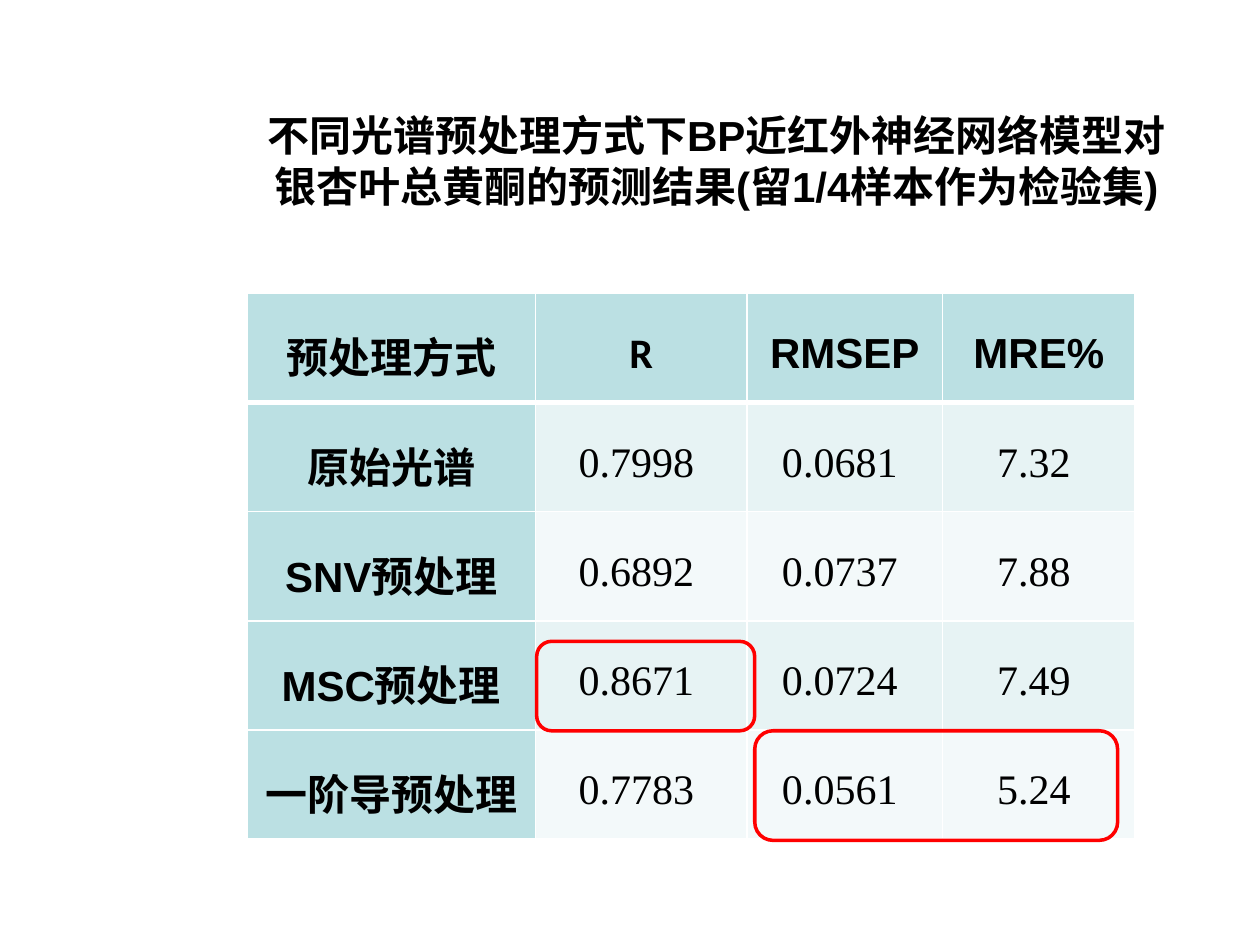
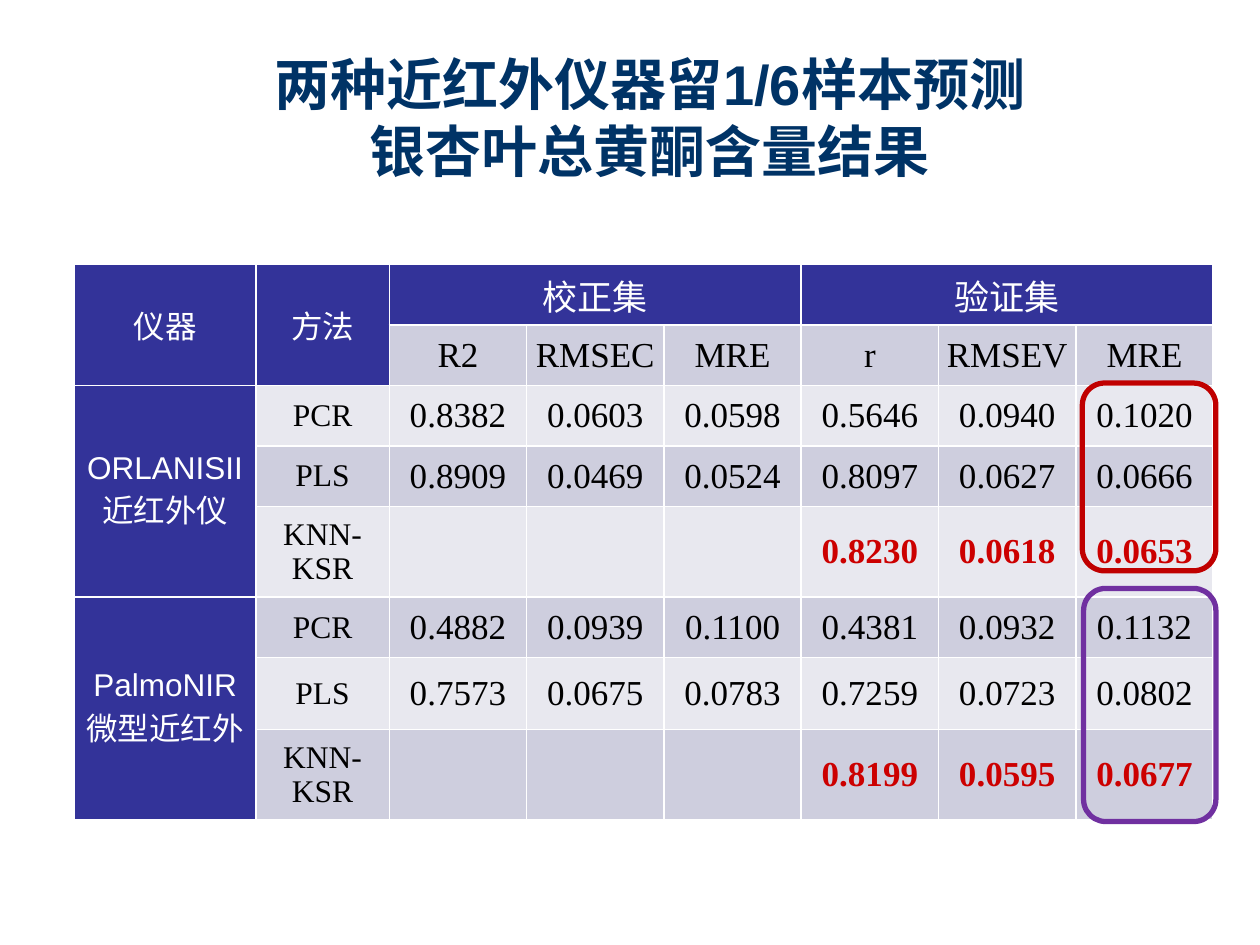
from lxml import etree
from pptx import Presentation
from pptx.dml.color import RGBColor
from pptx.enum.shapes import MSO_SHAPE as SHAPE
from pptx.enum.text import MSO_ANCHOR as ANCHOR, MSO_AUTO_SIZE as AUTO, PP_ALIGN as ALIGN
from pptx.oxml.ns import qn
from pptx.util import Inches, Pt

SANS, SERIF, HEAD_SANS = "Arial", "Times New Roman", "Calibri"
BLACK, WHITE, NAVY, RED = "000000", "FFFFFF", "003366", "CC0000"
TEAL, TEAL_BANDS = "BBE0E3", ("F3F9FA", "E7F3F4")
INDIGO, INDIGO_BANDS = "333399", ("E8E8EF", "CECEDE")


def rgb(value):
    return RGBColor.from_string(value)


class Deck:
    def __init__(self):
        self.prs = Presentation()
        self.prs.slide_width, self.prs.slide_height = Inches(10), Inches(7.5)
        self.slide = None

    def add_slide(self):
        self.slide = self.prs.slides.add_slide(self.prs.slide_layouts[5])

    def add_text(self, tf, text, size, font=SANS, color=BLACK, bold=False, spacing=1.0):
        for i, line in enumerate(text.split("\n")):
            p = tf.add_paragraph() if i else tf.paragraphs[0]
            p.alignment, p.line_spacing = ALIGN.CENTER, spacing
            r = p.add_run()
            r.text = line
            r.font.size, r.font.name, r.font.bold = Pt(size), font, bold
            r.font.color.rgb = rgb(color)

    def title(self, text, box, size, color, anchor):
        sp = self.slide.shapes.title
        sp.left, sp.top, sp.width, sp.height = map(Inches, box)
        tf = sp.text_frame
        tf.word_wrap, tf.auto_size, tf.vertical_anchor = True, AUTO.NONE, anchor
        self.add_text(tf, text, size, color=color, bold=True)

    def border(self, cell, **widths):
        tc_pr = cell._tc.get_or_add_tcPr()
        for side in "LRTB":
            ln = etree.SubElement(tc_pr, qn(f"a:ln{side}"), w=str(Pt(widths.get(side, 1))))
            fill = etree.SubElement(ln, qn("a:solidFill"))
            etree.SubElement(fill, qn("a:srgbClr"), val=WHITE)

    def table(self, rows, left, top, widths, heights, style, header_rule=1, merges=()):
        shape = self.slide.shapes.add_table(
            len(rows), len(widths), Inches(left), Inches(top),
            Inches(sum(widths)), Inches(sum(heights)))
        table = shape.table
        for column, width in zip(table.columns, widths):
            column.width = Inches(width)
        for i, (row, height) in enumerate(zip(rows, heights)):
            table.rows[i].height = Inches(height)
            for j, text in enumerate(row):
                cell = table.cell(i, j)
                fill, right_inset, font = style(i, j)
                cell.margin_left = cell.margin_top = cell.margin_bottom = Inches(0.01)
                cell.margin_right = Inches(right_inset)
                cell.vertical_anchor = ANCHOR.MIDDLE
                rule = {0: {"B": header_rule}, 1: {"T": header_rule}}.get(i, {})
                self.border(cell, **rule)
                cell.fill.solid()
                cell.fill.fore_color.rgb = rgb(fill)
                if text:
                    self.add_text(cell.text_frame, text, **font)
        for first_row, first_col, last_row, last_col in merges:
            table.cell(first_row, first_col).merge(table.cell(last_row, last_col))

    def highlight(self, box, color, width):
        sp = self.slide.shapes.add_shape(SHAPE.ROUNDED_RECTANGLE, *map(Inches, box))
        sp.shadow.inherit = False
        sp.fill.background()
        sp.line.color.rgb, sp.line.width = rgb(color), Pt(width)


def preprocessing_style(i, j):
    font = {"size": 24, "spacing": 1.25}
    if i == 0 or j == 0:
        font.update(font=HEAD_SANS if (i, j) == (0, 1) else SANS, bold=True)
        return TEAL, 0.01, font
    return TEAL_BANDS[i % 2], 0.09, {**font, "font": SERIF}


def instrument_style(i, j):
    if j == 0 or (j == 1 and i < 2):
        return INDIGO, 0.01, {"size": 18, "color": WHITE}
    if i == 0:
        return INDIGO, 0.01, {"size": 20, "font": SERIF, "color": WHITE}
    best = i in (4, 7) and j > 1
    font = {"size": 18 if j == 1 else 20, "font": SERIF,
            "color": RED if best else BLACK, "bold": best}
    return INDIGO_BANDS[i % 2], 0.01, font


def preprocessing_slide(deck):
    deck.add_slide()
    deck.title("不同光谱预处理方式下BP近红外神经网络模型对银杏叶总黄酮的预测结果(留1/4样本作为检验集)",
               (1.96, 0.82, 7.45, 0.91), 24, BLACK, ANCHOR.TOP)
    rows = [
        ["预处理方式", "R", "RMSEP", "MRE%"],
        ["原始光谱", "0.7998", "0.0681", "7.32"],
        ["SNV预处理", "0.6892", "0.0737", "7.88"],
        ["MSC预处理", "0.8671", "0.0724", "7.49"],
        ["一阶导预处理", "0.7783", "0.0561", "5.24"],
    ]
    deck.table(rows, 1.96, 2.33, [2.29, 1.68, 1.55, 1.53], [4.33 / 5] * 5,
               preprocessing_style, header_rule=3)
    for box in ((5.99, 5.8, 2.88, 0.87), (4.26, 5.09, 1.73, 0.71)):
        deck.highlight(box, "FF0000", 2)


def instrument_slide(deck):
    deck.add_slide()
    deck.title("两种近红外仪器留1/6样本预测银杏叶总黄酮含量结果",
               (2.01, 0.3, 6.3, 1.25), 32, NAVY, ANCHOR.MIDDLE)
    rows = [
        ["仪器", "方法", "校正集", "", "", "验证集", "", ""],
        ["", "", "R2", "RMSEC", "MRE", "r", "RMSEV", "MRE"],
        ["ORLANISII近红外仪", "PCR", "0.8382", "0.0603", "0.0598", "0.5646", "0.0940", "0.1020"],
        ["", "PLS", "0.8909", "0.0469", "0.0524", "0.8097", "0.0627", "0.0666"],
        ["", "KNN-KSR", "", "", "", "0.8230", "0.0618", "0.0653"],
        ["PalmoNIR\n微型近红外", "PCR", "0.4882", "0.0939", "0.1100", "0.4381", "0.0932", "0.1132"],
        ["", "PLS", "0.7573", "0.0675", "0.0783", "0.7259", "0.0723", "0.0802"],
        ["", "KNN-KSR", "", "", "", "0.8199", "0.0595", "0.0677"],
    ]
    merges = [(0, 0, 1, 0), (0, 1, 1, 1), (0, 2, 0, 4), (0, 5, 0, 7), (2, 0, 4, 0), (5, 0, 7, 0)]
    deck.table(rows, 0.59, 2.1, [1.44, 1.06] + [1.09] * 6,
               [0.48] * 4 + [0.72, 0.48, 0.57, 0.72], instrument_style, merges=merges)
    deck.highlight((8.59, 3.04, 1.06, 1.49), "C00000", 3)
    deck.highlight((8.6, 4.67, 1.05, 1.85), "7030A0", 3)


def main():
    deck = Deck()
    preprocessing_slide(deck)
    instrument_slide(deck)
    deck.prs.save("out.pptx")


if __name__ == "__main__":
    main()
